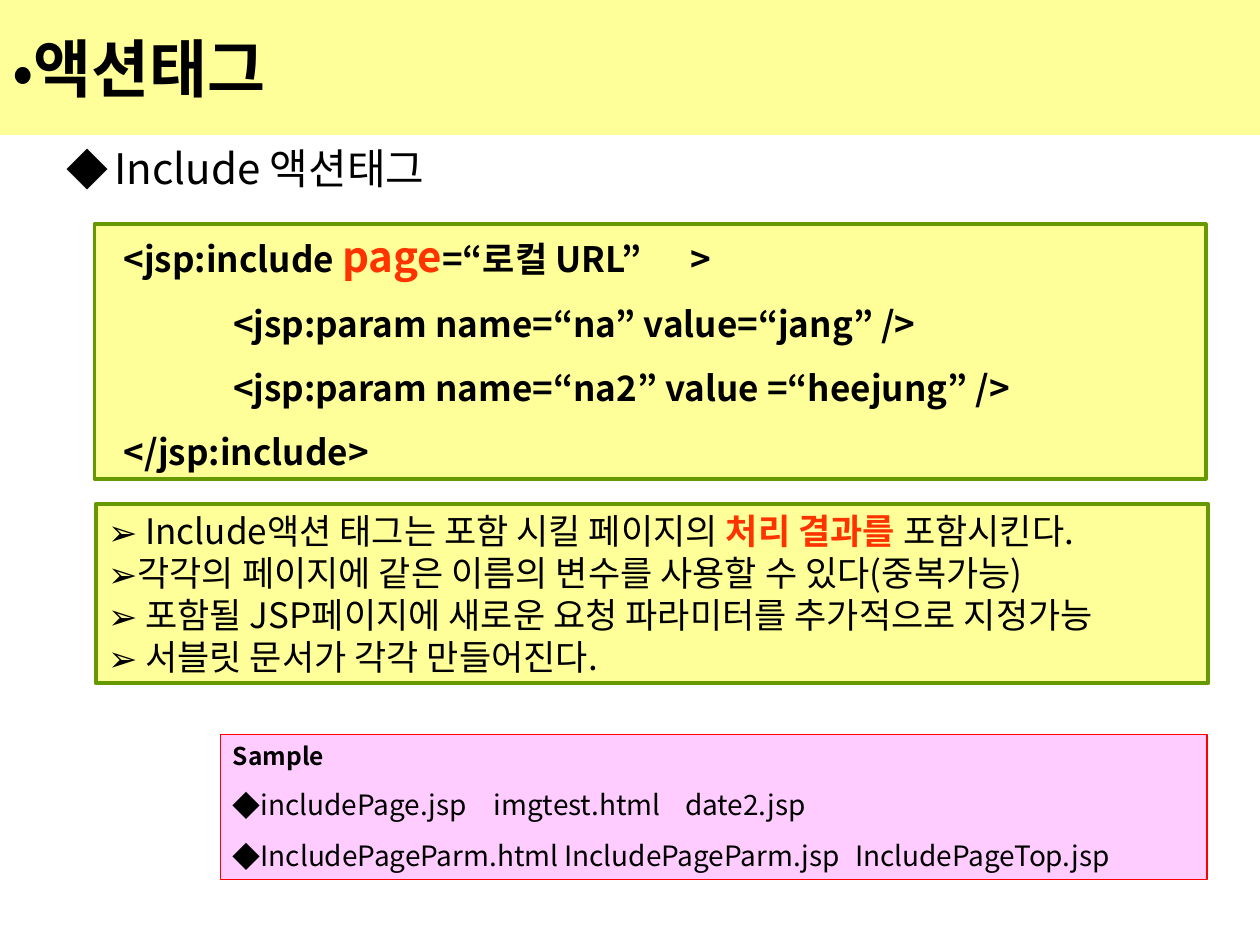
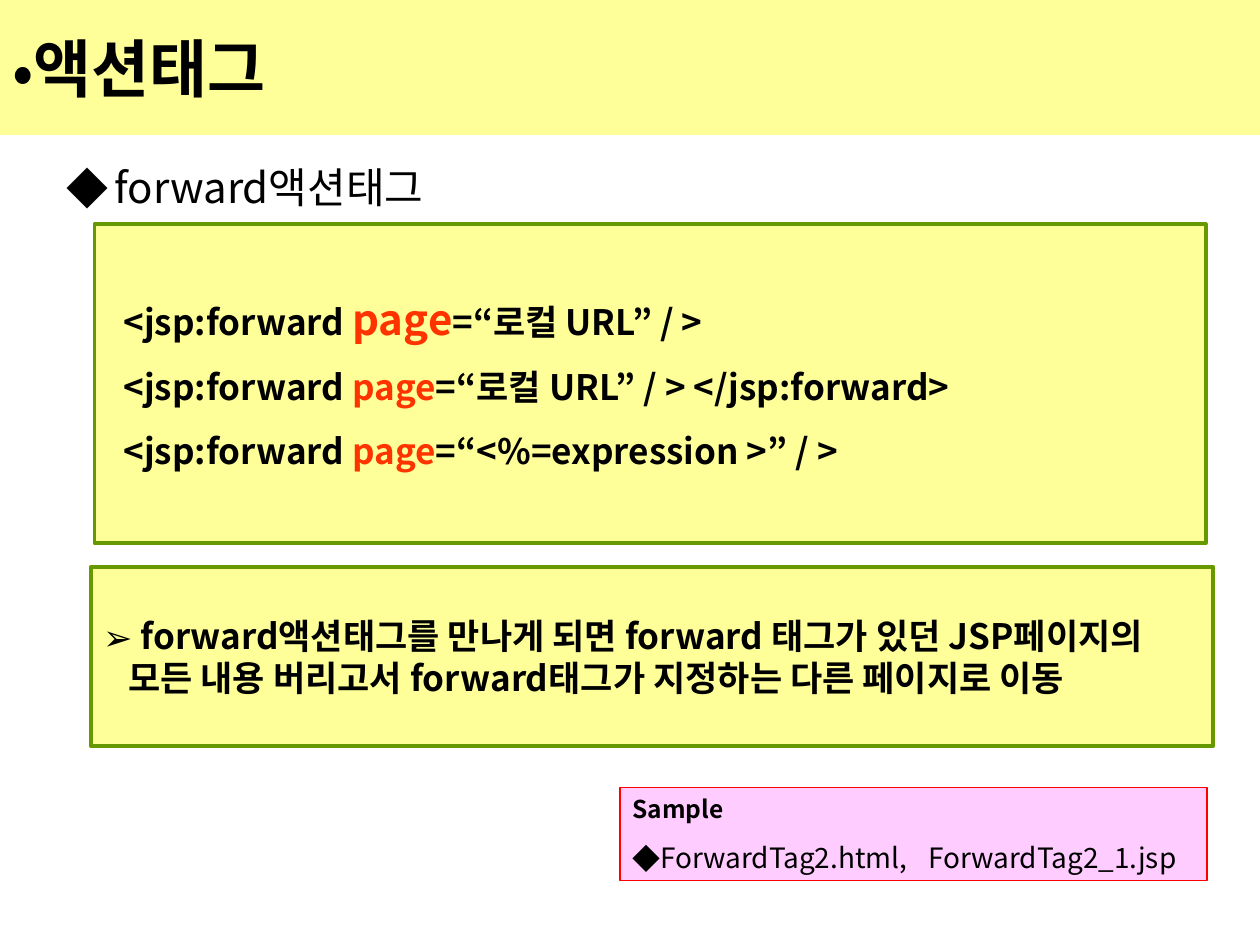
"""Build two slides about JSP action tags."""
from dataclasses import dataclass
from typing import Optional

from lxml.etree import SubElement
from pptx import Presentation
from pptx.dml.color import RGBColor
from pptx.enum.shapes import MSO_SHAPE
from pptx.enum.text import MSO_ANCHOR, MSO_AUTO_SIZE, PP_ALIGN
from pptx.oxml.ns import qn
from pptx.util import Emu, Pt

EMU_PER_PX = 9144


@dataclass(frozen=True)
class Theme:
    """Colours, font and type sizes shared by the slides."""
    font: str = "Noto Sans CJK KR"
    ink: str = "000000"
    hot: str = "FF3300"
    band: str = "FFFF99"
    frame: str = "669900"
    sample: str = "FFCCFF"
    sample_line: str = "FF0000"
    title: int = 36
    heading: int = 24
    code: int = 20
    sample_title: int = 14
    sample_item: int = 16


THEME = Theme()


@dataclass(frozen=True)
class Span:
    """A stretch of text; unset values come from its line."""
    text: str
    color: str = THEME.ink
    bold: Optional[bool] = None
    size: Optional[int] = None


@dataclass(frozen=True)
class Line:
    """A paragraph with its bullet, indents, tab stops and type."""
    spans: tuple[Span, ...]
    size: int
    bold: bool = False
    bullet: str = ""
    left: int = 0
    hanging: int = 0
    before: float = 0
    tabs: tuple[int, ...] = ()


@dataclass(frozen=True)
class Box:
    """A filled panel; lengths are px."""
    left: int
    top: int
    width: int
    height: int
    lines: tuple[Line, ...]
    fill: str = THEME.band
    border: str = THEME.frame
    weight: float = 2.25
    anchor: MSO_ANCHOR = MSO_ANCHOR.TOP
    inset_left: int = 10
    inset_top: int = 5


@dataclass(frozen=True)
class Page:
    """The content of one slide."""
    heading: str
    heading_top: int
    boxes: tuple[Box, ...]


def px(n: int) -> Emu:
    """Turn px into EMU."""
    return Emu(n * EMU_PER_PX)


def rgb(color: str) -> RGBColor:
    """Turn a hex string into a colour."""
    return RGBColor.from_string(color)


def code(*spans: Span, left: int = 0, tabs: tuple[int, ...] = ()) -> Line:
    """Make a line of tag syntax."""
    return Line(spans, THEME.code, bold=True, left=left, before=12.5, tabs=tabs)


def forward(rest: str, size: int = THEME.code, tabs: tuple[int, ...] = ()) -> Line:
    """Make a forward tag with its page attribute stressed."""
    return code(Span("<jsp:forward "), Span("page", THEME.hot, size=size), Span(rest), tabs=tabs)


def note(*spans: Span, bold: bool = False, bullet: str = "➢", left: int = 0) -> Line:
    """Make a line of explanation."""
    return Line(spans, THEME.code, bold=bold, bullet=bullet, left=left)


def code_box(height: int, *lines: Line, inset_top: int = 5) -> Box:
    """Make the syntax panel."""
    return Box(75, 178, 882, height, lines, inset_left=23, inset_top=inset_top)


def note_box(left: int, top: int, width: int, *lines: Line) -> Box:
    """Make the explanation panel."""
    return Box(left, top, width, 142, lines, anchor=MSO_ANCHOR.MIDDLE)


def sample_box(left: int, top: int, height: int, *items: tuple[str, tuple[int, ...]]) -> Box:
    """Make the sample panel, which ends at the right margin."""
    lines = [Line((Span("Sample"),), THEME.sample_title, bold=True, before=8.8)]
    lines += [Line((Span(text),), THEME.sample_item, bullet="◆", before=10, tabs=tabs)
              for text, tabs in items]
    return Box(left, top, 958 - left, height, tuple(lines), THEME.sample,
               THEME.sample_line, 0.75)


def write(p, line: Line) -> None:
    """Fill and format one paragraph."""
    p.alignment = PP_ALIGN.LEFT
    ppr = p._p.get_or_add_pPr()
    ppr.set("marL", str(px(line.left)))
    ppr.set("indent", str(px(-line.hanging)))
    if line.bullet:
        SubElement(SubElement(ppr, qn("a:buClr")), qn("a:srgbClr"), val=THEME.ink)
        SubElement(ppr, qn("a:buFont"), typeface=THEME.font)
        SubElement(ppr, qn("a:buChar"), char=line.bullet)
    else:
        SubElement(ppr, qn("a:buNone"))
    if line.tabs:
        stops = SubElement(ppr, qn("a:tabLst"))
        for stop in line.tabs:
            SubElement(stops, qn("a:tab"), pos=str(px(stop)), algn="l")
    p.space_before = Pt(line.before)
    for span in line.spans:
        r = p.add_run()
        r.text = span.text
        r.font.size = Pt(span.size or line.size)
        r.font.bold = line.bold if span.bold is None else span.bold
        r.font.color.rgb = rgb(span.color)
        r.font.name = THEME.font
        SubElement(r._r.get_or_add_rPr(), qn("a:ea"), typeface=THEME.font)


def fill_text(tf, lines: tuple[Line, ...], anchor: MSO_ANCHOR = MSO_ANCHOR.TOP,
              left: int = 10, top: int = 5) -> None:
    """Set up a text frame and write its lines."""
    tf.word_wrap = True
    tf.auto_size = MSO_AUTO_SIZE.NONE
    tf.vertical_anchor = anchor
    tf.margin_left, tf.margin_right = px(left), px(10)
    tf.margin_top, tf.margin_bottom = px(top), px(5)
    for i, line in enumerate(lines):
        write(tf.add_paragraph() if i else tf.paragraphs[0], line)


def paint(sp, fill: str) -> None:
    """Give a shape a plain fill."""
    sp.fill.solid()
    sp.fill.fore_color.rgb = rgb(fill)


def draw_box(s, box: Box) -> None:
    """Draw a panel with its text."""
    sp = s.shapes.add_shape(MSO_SHAPE.RECTANGLE, px(box.left), px(box.top),
                            px(box.width), px(box.height))
    sp.shadow.inherit = False
    paint(sp, box.fill)
    sp.line.color.rgb = rgb(box.border)
    sp.line.width = Pt(box.weight)
    fill_text(sp.text_frame, box.lines, box.anchor, box.inset_left, box.inset_top)


def draw_page(prs, page: Page) -> None:
    """Add a slide with title band, heading and panels."""
    s = prs.slides.add_slide(prs.slide_layouts[5])
    title = s.shapes.title
    title.left, title.top, title.width, title.height = px(0), px(0), px(1000), px(107)
    paint(title, THEME.band)
    fill_text(title.text_frame, (Line((Span("액션태그"),), THEME.title, bold=True, bullet="•"),),
              MSO_ANCHOR.MIDDLE)
    sp = s.shapes.add_textbox(px(43), px(page.heading_top), px(900), px(79))
    fill_text(sp.text_frame, (Line((Span(page.heading),), THEME.heading, bullet="◆",
                                   left=38, hanging=38, before=6),))
    for box in page.boxes:
        draw_box(s, box)


PAGES = (
    Page("Include 액션태그", 108, (
        code_box(
            202,
            code(Span("<jsp:include "), Span("page", THEME.hot, size=THEME.heading),
                 Span("=“로컬 URL”\t>"), tabs=(439,)),
            code(Span("<jsp:param name=“na” value=“jang” />"), left=87),
            code(Span("<jsp:param name=“na2” value =“heejung” />"), left=87),
            code(Span("</jsp:include>"))),
        note_box(
            76, 400, 883,
            note(Span(" Include액션 태그는 포함 시킬 페이지의 "),
                 Span("처리 결과를", THEME.hot, bold=True), Span(" 포함시킨다.")),
            note(Span("각각의 페이지에 같은 이름의 변수를 사용할 수 있다(중복가능)")),
            note(Span(" 포함될 JSP페이지에 새로운 요청 파라미터를 추가적으로 지정가능")),
            note(Span(" 서블릿 문서가 각각 만들어진다."))),
        sample_box(
            175, 583, 115,
            ("includePage.jsp\timgtest.html\tdate2.jsp", (207, 359)),
            ("IncludePageParm.html IncludePageParm.jsp\tIncludePageTop.jsp", (494,))))),
    Page("forward액션태그", 123, (
        code_box(
            253,
            forward("=“로컬 URL” / >", THEME.heading),
            forward("=“로컬 URL” / > </jsp:forward>"),
            forward("=“<%=expression >” / >"),
            inset_top=55),
        note_box(
            72, 450, 891,
            note(Span(" forward액션태그를 만나게 되면 forward 태그가 있던 JSP페이지의"), bold=True),
            note(Span("모든 내용 버리고서 forward태그가 지정하는 다른 페이지로 이동"),
                 bold=True, bullet="", left=20)),
        sample_box(492, 625, 74, ("ForwardTag2.html,\tForwardTag2_1.jsp", (235,))))),
)


def main() -> None:
    """Build and save the presentation."""
    prs = Presentation()
    prs.slide_width, prs.slide_height = px(1000), px(750)
    for page in PAGES:
        draw_page(prs, page)
    prs.save("out.pptx")


if __name__ == "__main__":
    main()
